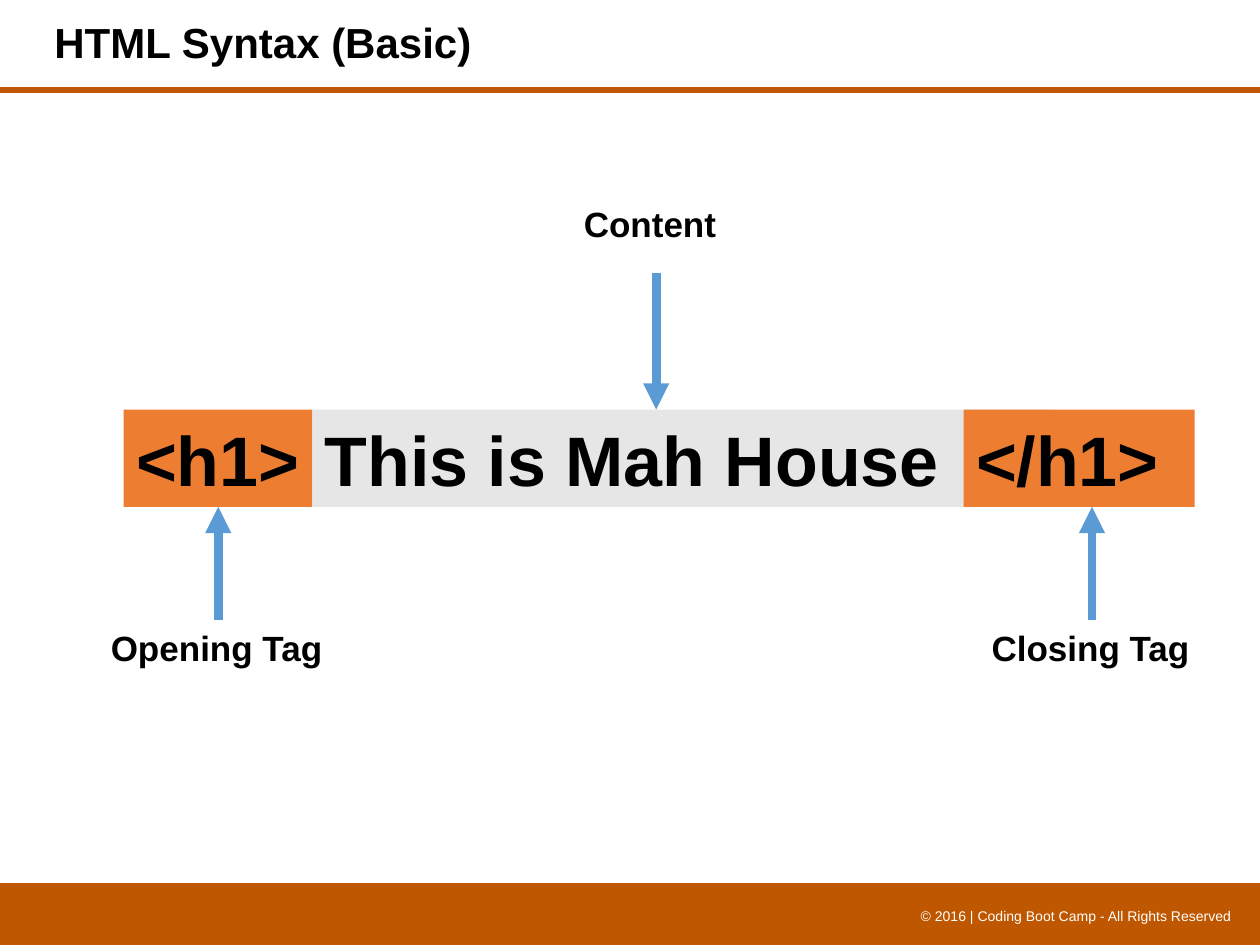
import pptx
import pptx.util
import pptx.dml.color
import pptx.enum.shapes
import pptx.enum.text
import pptx.oxml.ns
import lxml.etree

Pt = pptx.util.Pt
Align = pptx.enum.text.PP_ALIGN
Kind = pptx.enum.shapes.MSO_SHAPE
hues = {"rust": "BF5700", "tag": "ED7D31", "gray": "E7E6E6",
        "blue": "5B9BD5", "black": "000000", "white": "FFFFFF"}
tint = {name: pptx.dml.color.RGBColor.from_string(code)
        for name, code in hues.items()}

deck = pptx.Presentation()
deck.slide_width, deck.slide_height = Pt(720), Pt(540)
slide = deck.slides.add_slide(deck.slide_layouts[6])
shapes = slide.shapes


def write(shape, text, size, hue="black", bold=True, align=Align.LEFT, wrap=True):
    frame = shape.text_frame
    frame.word_wrap = wrap
    frame.vertical_anchor = pptx.enum.text.MSO_ANCHOR.MIDDLE
    para = frame.paragraphs[0]
    para.alignment = align
    run = para.add_run()
    run.text = text
    run.font.name, run.font.size, run.font.bold = "Arial", Pt(size), bold
    run.font.color.rgb = tint[hue]


def draw(start, end, hue, width):
    line = shapes.add_connector(pptx.enum.shapes.MSO_CONNECTOR.STRAIGHT,
                                *[Pt(v) for v in start + end])
    line.line.color.rgb = tint[hue]
    line.line.width = Pt(width)
    props = line._element.spPr
    lxml.etree.SubElement(props, pptx.oxml.ns.qn("a:effectLst"))
    return line


# Footer band, header rule and title
band = shapes.add_shape(Kind.FLOWCHART_PROCESS, Pt(-0.5), Pt(504.5), Pt(721), Pt(36))
band.shadow.inherit = False
band.fill.solid()
band.fill.fore_color.rgb = tint["rust"]
band.line.fill.background()
draw((0, 51.5), (720, 51.5), "rust", 3.25)
note = shapes.add_textbox(Pt(491.5), Pt(515), Pt(219.5), Pt(17))
write(note, "© 2016 | Coding Boot Camp - All Rights Reserved", 8, "white", False,
      Align.RIGHT)
title = shapes.add_textbox(Pt(24), Pt(0), Pt(540), Pt(51.5))
write(title, "HTML Syntax (Basic)", 24)
title.text_frame.paragraphs[0].line_spacing = 0.9

# Parts of the element
top, tall = 234, 55.7
for left, wide, hue, text in [(70.7, 107.8, "tag", "<h1>"),
                              (178.5, 423, "gray", "This is Mah House"),
                              (550.7, 132, "tag", "</h1>")]:
    part = shapes.add_shape(Kind.RECTANGLE, Pt(left), Pt(top), Pt(wide), Pt(tall))
    part.shadow.inherit = False
    part.fill.solid()
    part.fill.fore_color.rgb = tint[hue]
    part.line.fill.background()
    write(part, text, 40)

# Labels and their arrows
low = top + tall
for text, left, y, wide, mid, start, end in [
        ("Opening Tag", 56.2, 354.2, 136.5, 124.7, 354.2, low),
        ("Closing Tag", 559.5, 354.2, 129, 624, 354.2, low),
        ("Content", 326.5, 111.8, 90, 375, 156, top)]:
    label = shapes.add_textbox(Pt(left), Pt(y), Pt(wide), Pt(31.5))
    write(label, text, 20, wrap=False)
    arrow = draw((mid, start), (mid, end), "blue", 5)
    lxml.etree.SubElement(arrow.line._get_or_add_ln(),
                          pptx.oxml.ns.qn("a:tailEnd"), type="triangle")

deck.save("out.pptx")
